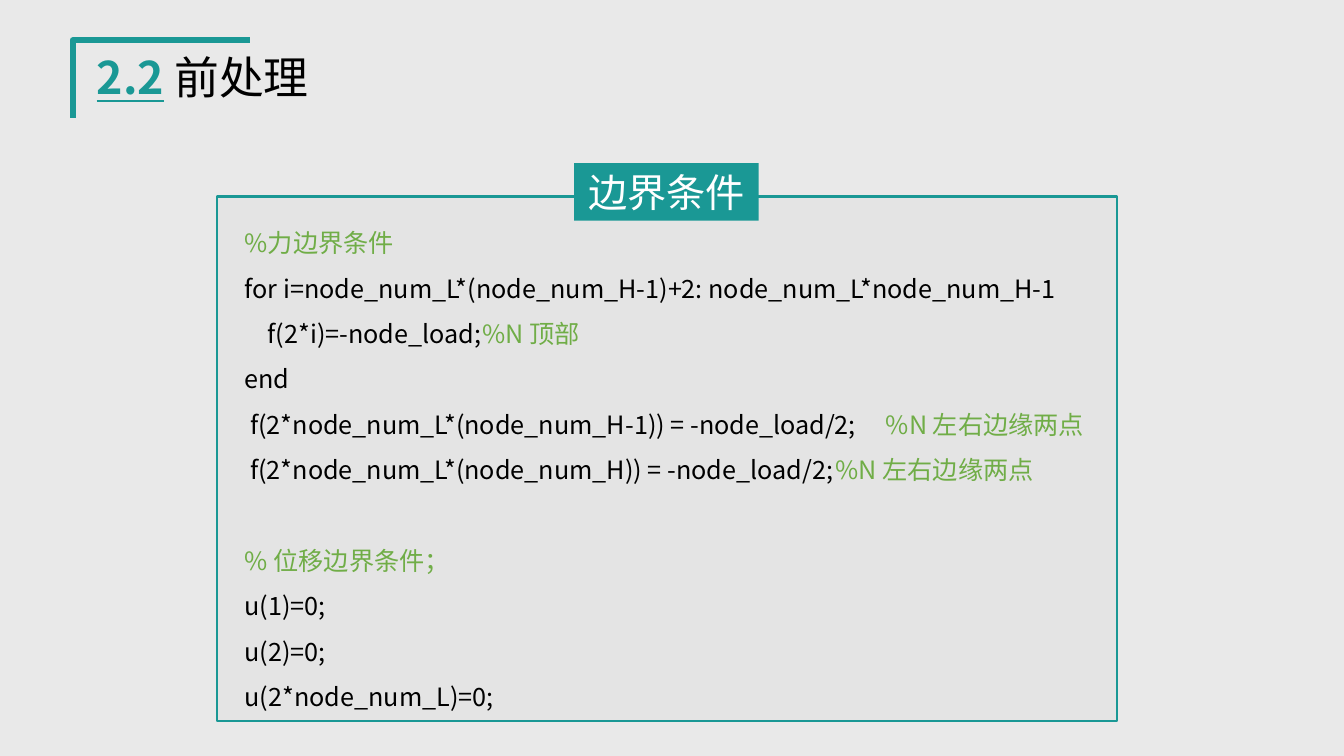
from dataclasses import dataclass

from pptx import Presentation
from pptx.dml.color import RGBColor
from pptx.enum.shapes import MSO_SHAPE
from pptx.enum.text import MSO_ANCHOR as ANCHOR, PP_ALIGN as ALIGN
from pptx.oxml.ns import qn
from pptx.util import Pt
from lxml.etree import SubElement


@dataclass(frozen=True)
class Theme:
    font: str = "Noto Sans CJK SC"
    back: str = "E9E9E9"
    panel: str = "E4E4E4"
    teal: str = "1A9895"
    code: str = "000000"
    comment: str = "70AD47"
    white: str = "FFFFFF"
    title_size: float = 32
    label_size: float = 28
    code_size: float = 18
    code_pitch: float = 32.4


class SlideBuilder:
    def __init__(self, prs, theme):
        self.theme = theme
        self.s = prs.slides.add_slide(prs.slide_layouts[6])
        fill = self.s.background.fill
        fill.solid()
        fill.fore_color.rgb = RGBColor.from_string(theme.back)

    def style(self, sp, fill=None, line=None, width=0):
        sp.shadow.inherit = False
        if fill:
            sp.fill.solid()
            sp.fill.fore_color.rgb = RGBColor.from_string(fill)
        else:
            sp.fill.background()
        if line:
            sp.line.color.rgb = RGBColor.from_string(line)
            sp.line.width = Pt(width)
        else:
            sp.line.fill.background()

    def bracket(self, points, color, width):
        (x, y), *rest = [(Pt(px), Pt(py)) for px, py in points]
        builder = self.s.shapes.build_freeform(x, y)
        builder.add_line_segments(rest, close=False)
        self.style(builder.convert_to_shape(), line=color, width=width)

    def rect(self, box, **look):
        sp = self.s.shapes.add_shape(MSO_SHAPE.RECTANGLE, *map(Pt, box))
        self.style(sp, **look)
        return sp

    def frame(self, sp, anchor=ANCHOR.MIDDLE, inset=0):
        tf = sp.text_frame
        formats = {"word_wrap": True, "vertical_anchor": anchor,
                   "margin_top": Pt(inset), "margin_bottom": Pt(inset)}
        for name, value in formats.items():
            setattr(tf, name, value)
        return tf

    def run(self, p, text, size, color, **formats):
        r = p.add_run()
        r.text = text
        formats.update(name=self.theme.font, size=Pt(size))
        for name, value in formats.items():
            setattr(r.font, name, value)
        r.font.color.rgb = RGBColor.from_string(color)
        SubElement(r.font._element, qn("a:ea"), typeface=self.theme.font)

    def heading(self, box, text, color, **formats):
        tf = self.frame(self.s.shapes.add_textbox(*map(Pt, box)))
        self.run(tf.paragraphs[0], text, self.theme.title_size, color, **formats)

    def label(self, box, text):
        p = self.frame(self.rect(box, fill=self.theme.teal)).paragraphs[0]
        p.alignment = ALIGN.CENTER
        self.run(p, text, self.theme.label_size, self.theme.white)

    def listing(self, box, lines):
        """Lines are (indent, code, comment, comment tab, blank lines above)."""
        t = self.theme
        tf = self.frame(self.s.shapes.add_textbox(*map(Pt, box)), ANCHOR.TOP, 5)
        for i, (indent, code, comment, tab, gap) in enumerate(lines):
            p = tf.add_paragraph() if i else tf.paragraphs[0]
            p.line_spacing = Pt(t.code_pitch)
            p.space_before = Pt(gap * t.code_pitch)
            pPr = p._p.get_or_add_pPr()
            pPr.set("marL", "0")
            pPr.set("indent", str(Pt(indent)))
            if tab:
                tabs = SubElement(pPr, qn("a:tabLst"))
                SubElement(tabs, qn("a:tab"), pos=str(Pt(tab)), algn="l")
            if code:
                self.run(p, code + ("\t" if tab else ""), t.code_size, t.code)
            if comment:
                self.run(p, comment, t.code_size, t.comment)


LINES = [
    (10, "", "%力边界条件", 0, 0),
    (10, "for i=node_num_L*(node_num_H-1)+2: node_num_L*node_num_H-1", "", 0, 0),
    (26.5, "f(2*i)=-node_load;", "%N 顶部", 186.5, 0),
    (10, "end", "", 0, 0),
    (14, "f(2*node_num_L*(node_num_H-1)) = -node_load/2;", "%N 左右边缘两点", 458.5, 0),
    (14, "f(2*node_num_L*(node_num_H)) = -node_load/2;", "%N 左右边缘两点", 454.5, 0),
    (10, "", "% 位移边界条件；", 0, 1),
    (10, "u(1)=0;", "", 0, 0),
    (10, "u(2)=0;", "", 0, 0),
    (10, "u(2*node_num_L)=0;", "", 0, 0),
]


def main():
    prs = Presentation()
    prs.slide_width, prs.slide_height = Pt(960), Pt(540)
    t = Theme()
    b = SlideBuilder(prs, t)
    b.bracket([(52, 84), (52, 28.8), (178.6, 28.8)], t.teal, 4.5)
    b.rect((154.8, 140.4, 643, 374.4), fill=t.panel, line=t.teal, width=1.5)
    b.label((410.2, 116.6, 131.8, 41), "边界条件")
    b.listing((157.7, 146.9, 640, 368), LINES)
    b.heading((62, 31.7, 68.4, 46), "2.2", t.teal, bold=True, underline=True)
    b.heading((117.4, 31.7, 200, 46), "前处理", t.code)
    prs.save("out.pptx")


if __name__ == "__main__":
    main()
